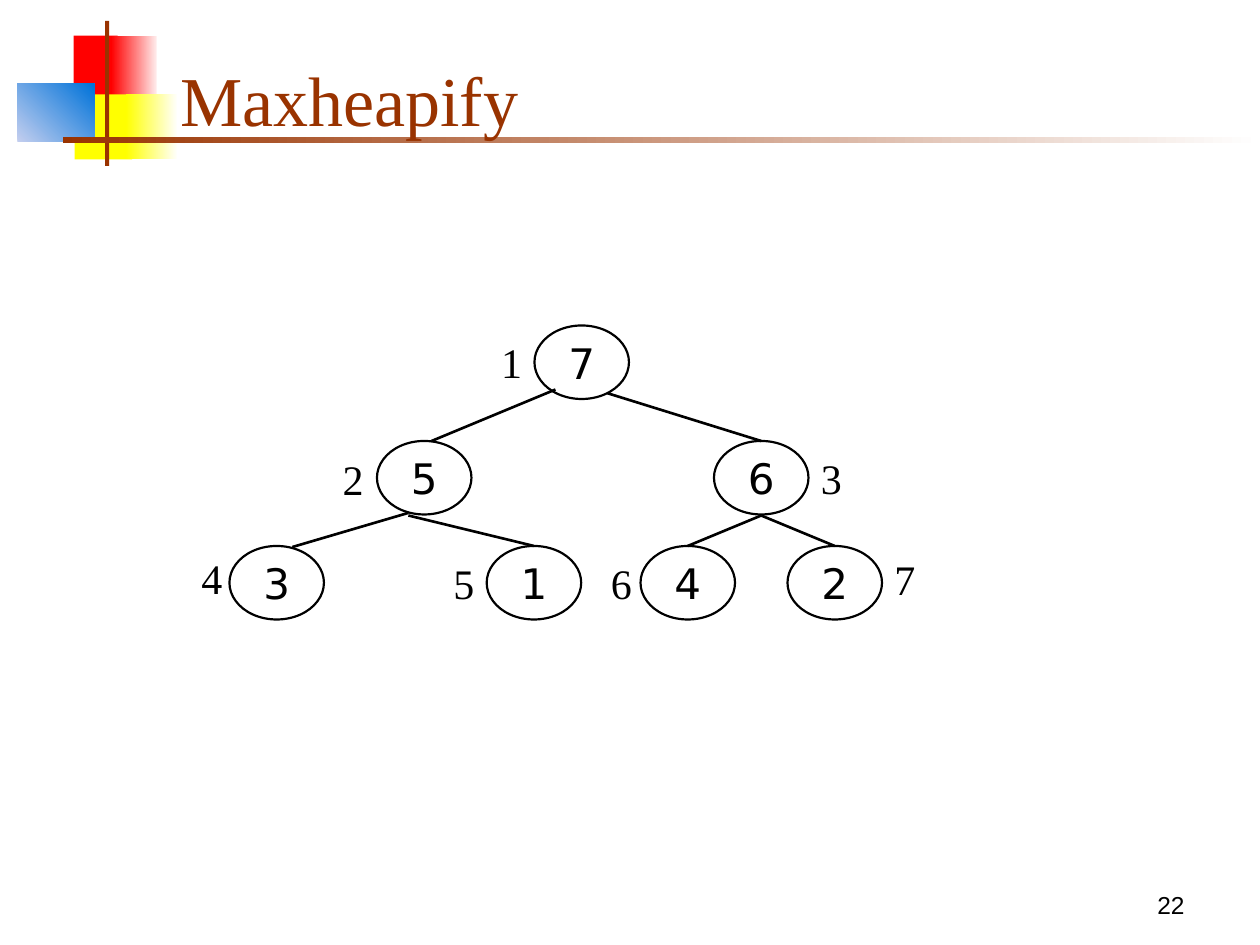
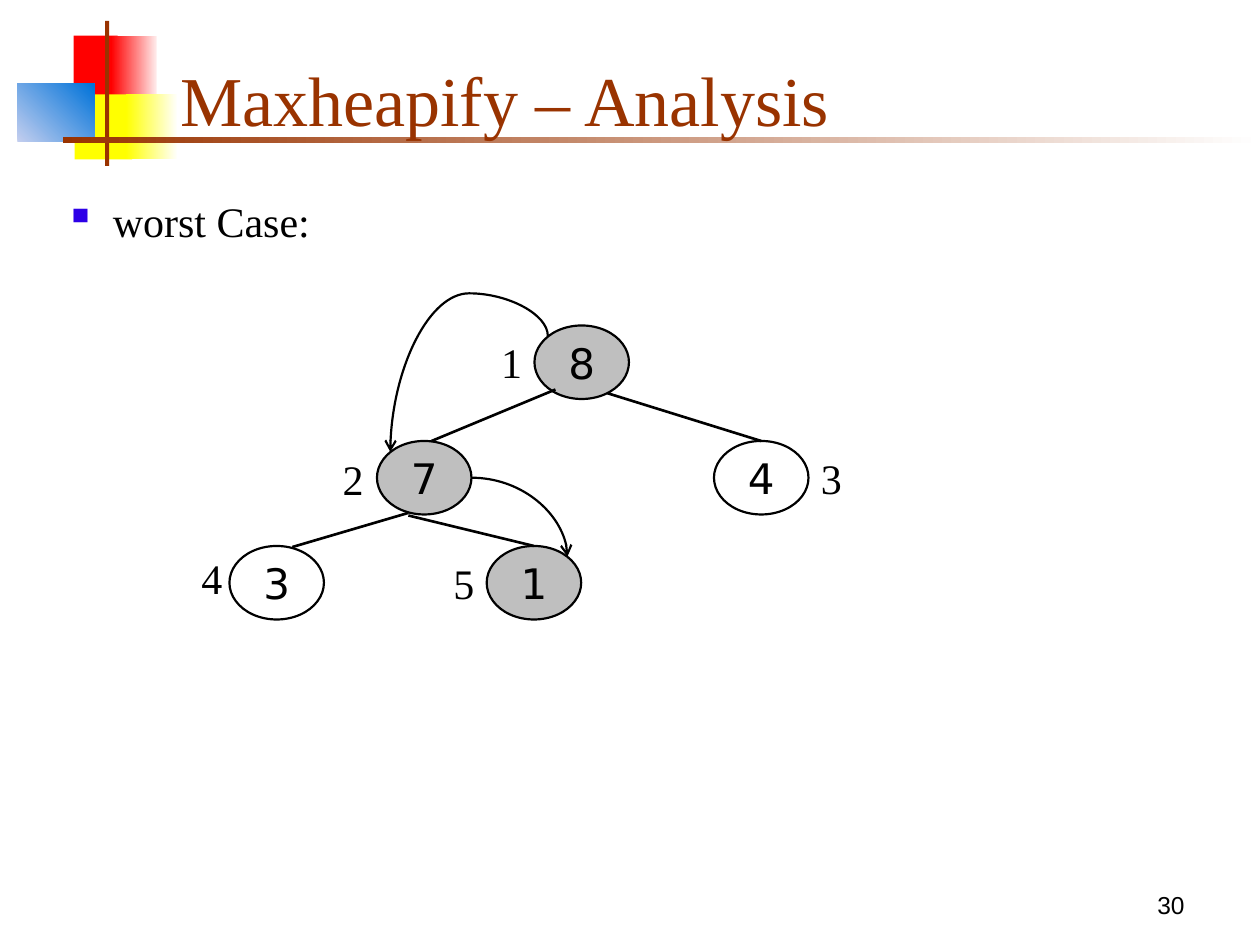
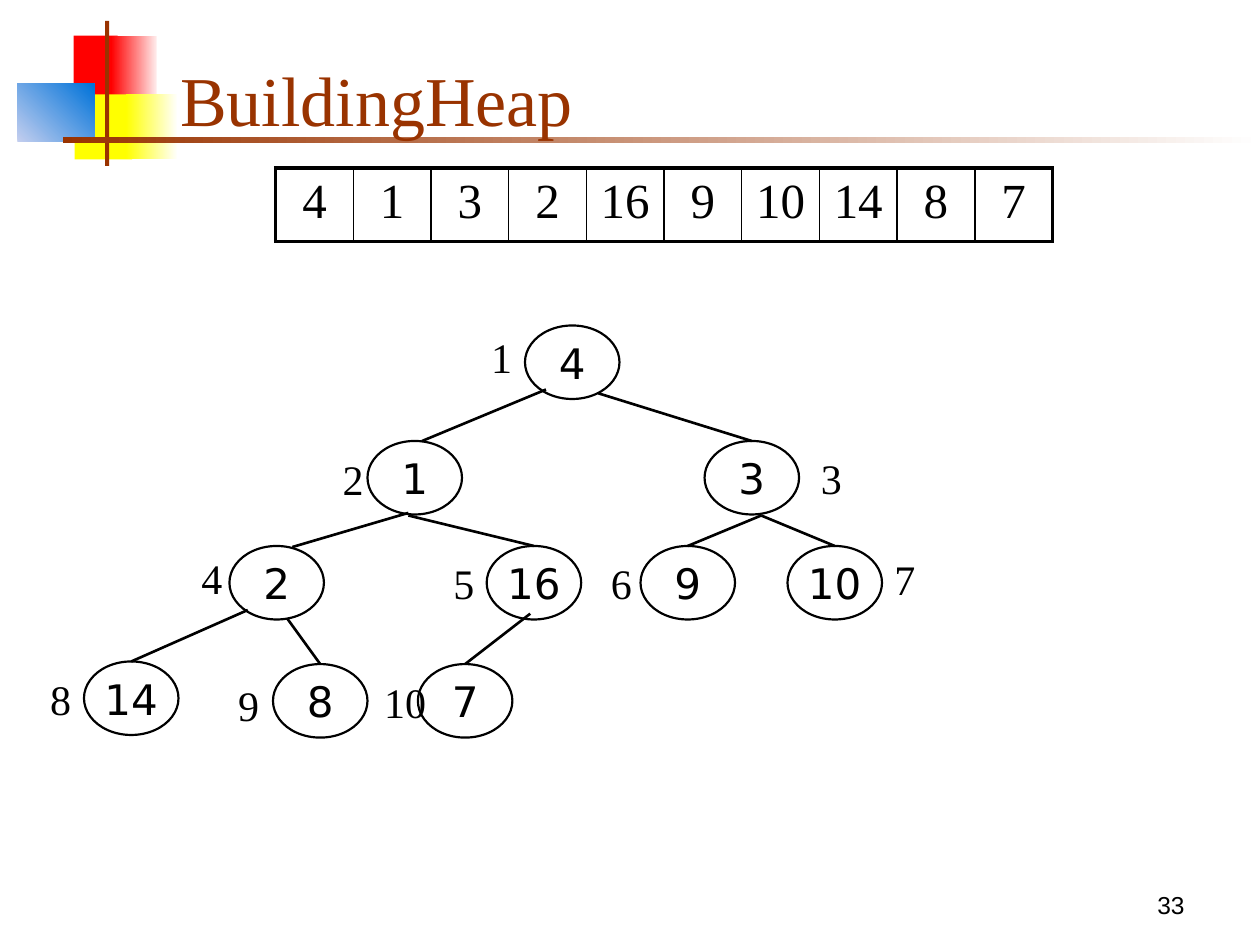
from dataclasses import dataclass, replace
from typing import NamedTuple

from lxml.etree import SubElement
from pptx import Presentation
from pptx.dml.color import RGBColor
from pptx.enum.shapes import MSO_CONNECTOR as Connector, MSO_SHAPE as Preset
from pptx.enum.text import MSO_ANCHOR as Anchor, MSO_AUTO_SIZE as AutoSize, PP_ALIGN as Align
from pptx.oxml.ns import qn
from pptx.util import Emu, Inches, Pt

COLUMNS, ROWS = 120, 90
SLIDE_WIDTH, SLIDE_HEIGHT = Inches(10), Inches(7.5)

BLACK = RGBColor(0x00, 0x00, 0x00)
WHITE = RGBColor(0xFF, 0xFF, 0xFF)
BROWN = RGBColor(0x99, 0x33, 0x00)
RED = RGBColor(0xFF, 0x00, 0x00)
PALE_RED = RGBColor(0xFF, 0xEA, 0xEA)
YELLOW = RGBColor(0xFF, 0xFF, 0x00)
PALE_YELLOW = RGBColor(0xFF, 0xFF, 0xF8)
BLUE = RGBColor(0x00, 0x73, 0xD9)
PALE_BLUE = RGBColor(0xC4, 0xCF, 0xEF)
BULLET_BLUE = RGBColor(0x2D, 0x00, 0xE7)
GRAY = RGBColor(0xBF, 0xBF, 0xBF)

SERIF, SANS, FOOTER_FONT = "Times New Roman", "DejaVu Sans", "Arial"
NODE_WIDTH, NODE_HEIGHT = 9, 7
INDEX_WIDTH, INDEX_HEIGHT = 4.45, 6
ELLIPSE_TOP_LEFT, ELLIPSE_RIGHT, ELLIPSE_TOP_RIGHT = 1, 6, 7


class Point(NamedTuple):
    column: float
    row: float


class Box(NamedTuple):
    column: float
    row: float
    width: float
    height: float


@dataclass(frozen=True)
class TextStyle:
    font: str
    size: float
    color: RGBColor = BLACK
    align: Align = Align.LEFT


@dataclass(frozen=True)
class Band:
    box: Box
    colors: tuple[RGBColor, ...]
    angle: float = 0


@dataclass(frozen=True)
class HeapPlace:
    node: Point
    index: Point
    edge_start: Point | None = None
    edge_end: Point | None = None


TITLE_STYLE = TextStyle(SERIF, 40, BROWN)
NUMBER_STYLE = TextStyle(FOOTER_FONT, 14, align=Align.RIGHT)
KEY_STYLE = TextStyle(SANS, 24, align=Align.CENTER)
BODY_STYLE = TextStyle(SERIF, 24)
CELL_STYLE = TextStyle(SERIF, 28, align=Align.CENTER)

BANDS = (
    Band(Box(7, 3.4, 4.2, 6.2), (RED,)),
    Band(Box(10.6, 3.4, 4.3, 6.2), (RED, PALE_RED)),
    Band(Box(7.1, 9, 5.5, 6.2), (YELLOW,)),
    Band(Box(12, 9, 4.8, 6.2), (YELLOW, PALE_YELLOW)),
    Band(Box(1.65, 8, 7.35, 5.5), (PALE_BLUE, BLUE), 45),
    Band(Box(10, 2, 0.4, 13.8), (BROWN,)),
    Band(Box(6, 13, 114, 0.6), (BROWN, WHITE)),
)

HEAP = {
    1: HeapPlace(Point(50.9, 31), Point(46.55, 31.45)),
    2: HeapPlace(Point(35.9, 42), Point(31.45, 42.6), Point(52.9, 37.1), Point(41.1, 42)),
    3: HeapPlace(Point(68, 42), Point(77, 42.5), Point(57.85, 37.45)),
    4: HeapPlace(Point(21.85, 52), Point(18, 52), Point(38.9, 48.85), Point(27.85, 52.1)),
    5: HeapPlace(Point(46.35, 52), Point(42, 52.55), Point(38.9, 49.1)),
    6: HeapPlace(Point(61, 52), Point(57, 52.55), Point(72.5, 49.1)),
    7: HeapPlace(Point(75, 52), Point(84, 52.1), Point(72.5, 49.1)),
    8: HeapPlace(Point(8, 63), Point(3.6, 63.6), Point(23.6, 58.1)),
    9: HeapPlace(Point(26, 63.25), Point(21.5, 64.1), Point(27.35, 58.9)),
    10: HeapPlace(Point(39.8, 63.25), Point(35.4, 63.85), Point(50.5, 58.45)),
}


def across(columns: float) -> Emu:
    return Emu(round(SLIDE_WIDTH * columns / COLUMNS))


def down(rows: float) -> Emu:
    return Emu(round(SLIDE_HEIGHT * rows / ROWS))


def frame(box: Box) -> tuple[Emu, Emu, Emu, Emu]:
    return across(box.column), down(box.row), across(box.width), down(box.height)


def moved(point: Point | None, columns: float) -> Point | None:
    return point and Point(point.column + columns, point.row)


def write(text_frame, text: str, style: TextStyle) -> None:
    text_frame.text = text
    paragraph = text_frame.paragraphs[0]
    paragraph.alignment = style.align
    font = paragraph.runs[0].font
    font.name, font.size, font.color.rgb = style.font, Pt(style.size), style.color


def add_text(slide, box: Box, text: str, style: TextStyle, anchor=Anchor.TOP, wrap=False):
    shape = slide.shapes.add_textbox(*frame(box))
    write(shape.text_frame, text, style)
    shape.text_frame.word_wrap = wrap
    shape.text_frame.vertical_anchor = anchor
    if not wrap:
        shape.text_frame.auto_size = AutoSize.SHAPE_TO_FIT_TEXT
    return shape


def add_band(slide, band: Band) -> None:
    shape = slide.shapes.add_shape(Preset.RECTANGLE, *frame(band.box))
    shape.shadow.inherit = False
    shape.line.fill.background()
    if len(band.colors) == 1:
        shape.fill.solid()
        shape.fill.fore_color.rgb = band.colors[0]
        return
    shape.fill.gradient()
    shape.fill.gradient_angle = band.angle
    for stop, color in zip(shape.fill.gradient_stops, band.colors):
        stop.color.rgb = color


def add_titled_slide(presentation, title: str, number: int):
    slide = presentation.slides.add_slide(presentation.slide_layouts[6])
    for band in BANDS:
        add_band(slide, band)
    add_text(slide, Box(86, 84, 28, 4.2), str(number), NUMBER_STYLE, Anchor.BOTTOM, True)
    add_text(slide, Box(16, 3, 102.2, 11), title, TITLE_STYLE, Anchor.BOTTOM, True)
    return slide


def add_line(slide, kind: Connector, start: Point, end: Point, width: float):
    connector = slide.shapes.add_connector(
        kind, across(start.column), down(start.row), across(end.column), down(end.row)
    )
    connector.line.color.rgb = BLACK
    connector.line.width = Pt(width)
    SubElement(connector._element.spPr, qn("a:effectLst"))
    return connector


def add_node(slide, place: HeapPlace, key: int, shaded: bool):
    box = Box(*place.node, NODE_WIDTH, NODE_HEIGHT)
    shape = slide.shapes.add_shape(Preset.OVAL, *frame(box))
    shape.shadow.inherit = False
    if shaded:
        shape.fill.solid()
        shape.fill.fore_color.rgb = GRAY
    else:
        shape.fill.background()
    shape.line.color.rgb = BLACK
    shape.line.width = Pt(1.25)
    write(shape.text_frame, str(key), KEY_STYLE)
    shape.text_frame.word_wrap = False
    shape.text_frame.vertical_anchor = Anchor.MIDDLE
    return shape


def add_heap(slide, places: dict[int, HeapPlace], keys: list[int], shaded: tuple[int, ...] = ()):
    nodes = {
        index: add_node(slide, places[index], key, index in shaded)
        for index, key in enumerate(keys, 1)
    }
    for index, node in nodes.items():
        place = places[index]
        if place.edge_start:
            edge = add_line(
                slide, Connector.STRAIGHT, place.edge_start, place.edge_end or place.node, 1.5
            )
            if place.edge_end is None:
                edge.end_connect(node, 0)
        width = INDEX_WIDTH if index < 10 else 6.5
        add_text(slide, Box(*place.index, width, INDEX_HEIGHT), str(index), BODY_STYLE)
    return nodes


def add_swap_arrow(slide, start: Point, end: Point, preset: str, joints):
    connector = add_line(slide, Connector.CURVE, start, end, 1.25)
    properties = connector._element.spPr
    properties.find(qn("a:prstGeom")).set("prst", preset)
    SubElement(connector.line._get_or_add_ln(), qn("a:tailEnd"), type="arrow")
    links = connector._element.find(".//" + qn("p:cNvCxnSpPr"))
    for tag, (node, site) in zip(("a:stCxn", "a:endCxn"), joints):
        SubElement(links, qn(tag), id=str(node.shape_id), idx=str(site))
    return properties


def add_bullet(slide, box: Box, text: str) -> None:
    shape = add_text(slide, box, text, BODY_STYLE)
    properties = shape.text_frame.paragraphs[0]._p.get_or_add_pPr()
    indent = Inches(0.38)
    properties.set("marL", str(indent))
    properties.set("indent", str(-indent))
    color = SubElement(properties, qn("a:buClr"))
    SubElement(color, qn("a:srgbClr"), val=str(BULLET_BLUE))
    SubElement(properties, qn("a:buChar"), char="▪")


def add_border(cell, side: str, width: float) -> None:
    line = SubElement(cell._tc.get_or_add_tcPr(), qn(f"a:ln{side}"), w=str(Pt(width)))
    fill = SubElement(line, qn("a:solidFill"))
    SubElement(fill, qn("a:srgbClr"), val=str(BLACK))


def add_array(slide, box: Box, keys: list[int]) -> None:
    table = slide.shapes.add_table(1, len(keys), *frame(box)).table
    table.first_row = table.horz_banding = False
    last = len(keys) - 1
    for position, key in enumerate(keys):
        table.columns[position].width = across(box.width / len(keys))
        cell = table.cell(0, position)
        write(cell.text_frame, str(key), CELL_STYLE)
        add_border(cell, "L", 2.25 if position == 0 else 1)
        add_border(cell, "R", 2.25 if position == last else 1)
        add_border(cell, "T", 2.25)
        add_border(cell, "B", 2.25)
        cell.fill.background()


def build_maxheapify(presentation) -> None:
    slide = add_titled_slide(presentation, "Maxheapify", 22)
    add_heap(slide, HEAP, [7, 5, 6, 3, 1, 4, 2])


def build_analysis(presentation) -> None:
    slide = add_titled_slide(presentation, "Maxheapify – Analysis", 30)
    nodes = add_heap(slide, HEAP, [8, 7, 4, 3, 1], shaded=(1, 2, 5))
    add_bullet(slide, Box(5, 18, 26, 6), "worst Case:")
    root_swap = add_swap_arrow(
        slide, Point(50.2, 45), Point(39.15, 30), "curvedConnector3",
        ((nodes[1], ELLIPSE_TOP_LEFT), (nodes[2], ELLIPSE_TOP_LEFT)),
    )
    root_swap.find(qn("a:xfrm")).set("rot", str(270 * 60000))
    adjustments = root_swap.find(qn("a:prstGeom")).find(qn("a:avLst"))
    SubElement(adjustments, qn("a:gd"), name="adj1", fmla="val -36600")
    add_swap_arrow(
        slide, Point(44.9, 45.5), Point(54.05, 53), "curvedConnector2",
        ((nodes[2], ELLIPSE_RIGHT), (nodes[5], ELLIPSE_TOP_RIGHT)),
    )


def build_building_heap(presentation) -> None:
    slide = add_titled_slide(presentation, "BuildingHeap", 33)
    keys = [4, 1, 3, 2, 16, 9, 10, 14, 8, 7]
    places = dict(HEAP)
    for index in (1, 2, 3):
        place = HEAP[index]
        places[index] = replace(
            place,
            node=moved(place.node, -0.9),
            edge_start=moved(place.edge_start, -0.9),
            edge_end=moved(place.edge_end, -0.9),
        )
    places[1] = replace(places[1], index=Point(45.6, 31))
    add_array(slide, Box(26.25, 16, 74, 7), keys)
    add_heap(slide, places, keys)


def main() -> None:
    presentation = Presentation()
    presentation.slide_width, presentation.slide_height = SLIDE_WIDTH, SLIDE_HEIGHT
    build_maxheapify(presentation)
    build_analysis(presentation)
    build_building_heap(presentation)
    presentation.save("out.pptx")


if __name__ == "__main__":
    main()
